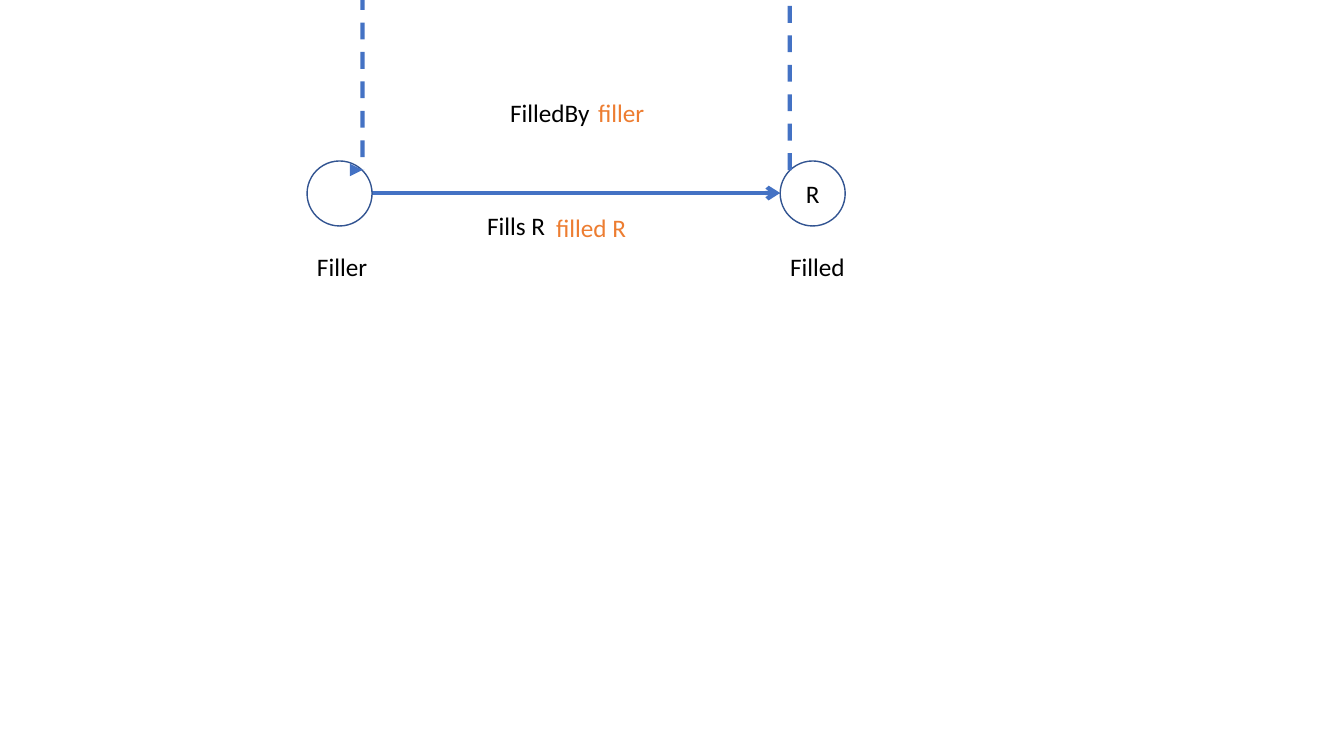
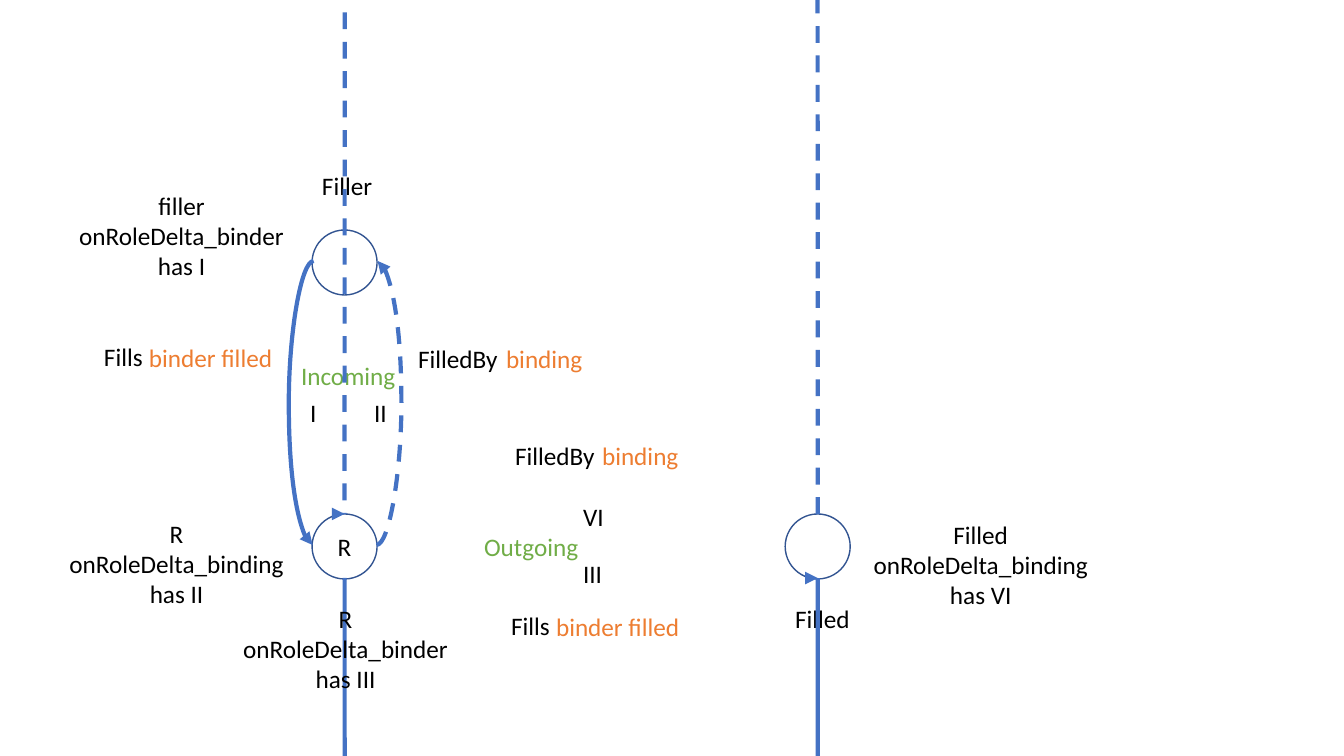
from dataclasses import dataclass

from lxml.etree import SubElement
from pptx import Presentation
from pptx.dml.color import RGBColor
from pptx.enum.dml import MSO_LINE
from pptx.enum.shapes import MSO_CONNECTOR, MSO_SHAPE
from pptx.enum.text import MSO_ANCHOR, MSO_AUTO_SIZE, PP_ALIGN
from pptx.oxml.ns import qn
from pptx.shapes.connector import Connector
from pptx.slide import Slide
from pptx.text.text import TextFrame
from pptx.util import Emu, Inches, Pt

# Shared look
COLOURS = {
    "text": "000000",
    "property": "ED7D31",
    "direction": "70AD47",
    "arrow": "4472C4",
    "outline": "325491",
}
FONT, TEXT_SIZE = "Calibri", Pt(18)
ROLE_SIZE = 65
LABEL_HEIGHT, NOTE_WIDTH, NOTE_HEIGHT = 40, 253, 102
FILLED_BY_WIDTH, PROPERTY_WIDTH, DIRECTION_WIDTH = 104, 146, 118


def px(length: float) -> Emu:
    return Emu(round(length * 914400 / 100.8))


def colour(name: str) -> RGBColor:
    return RGBColor.from_string(COLOURS[name])


@dataclass(frozen=True)
class Role:
    left: int
    top: int
    name: str = ""


@dataclass(frozen=True)
class Label:
    text: str
    left: int
    top: int
    width: int
    colour: str = "text"


@dataclass(frozen=True)
class Note:
    lines: tuple[str, ...]
    left: int
    top: int


@dataclass(frozen=True)
class Arc:
    """A curve whose ends lie `span` apart around a centre, `depth` EMU across."""
    centre_x: int
    centre_y: int
    span: int
    bulge: int
    depth: int
    rotation: int
    flip: str = "flipV"
    dashed: bool = False


# Text
def write_lines(frame: TextFrame, lines: tuple[str, ...], name: str,
                align: PP_ALIGN) -> None:
    for index, line in enumerate(lines):
        paragraph = frame.paragraphs[0] if index == 0 else frame.add_paragraph()
        paragraph.alignment = align
        run = paragraph.add_run()
        run.text = line
        run.font.name, run.font.size = FONT, TEXT_SIZE
        run.font.color.rgb = colour(name)


def add_text(slide: Slide, lines: tuple[str, ...], box: tuple[int, int, int, int],
             name: str, align: PP_ALIGN) -> None:
    frame = slide.shapes.add_textbox(*map(px, box)).text_frame
    frame.word_wrap = True
    frame.auto_size = MSO_AUTO_SIZE.SHAPE_TO_FIT_TEXT
    write_lines(frame, lines, name, align)


def add_label(slide: Slide, label: Label) -> None:
    box = (label.left, label.top, label.width, LABEL_HEIGHT)
    add_text(slide, (label.text,), box, label.colour, PP_ALIGN.LEFT)


def add_note(slide: Slide, note: Note) -> None:
    box = (note.left, note.top, NOTE_WIDTH, NOTE_HEIGHT)
    add_text(slide, note.lines, box, "text", PP_ALIGN.CENTER)


# Roles and arrows
def add_role(slide: Slide, role: Role) -> None:
    circle = slide.shapes.add_shape(MSO_SHAPE.OVAL, px(role.left), px(role.top),
                                    px(ROLE_SIZE), px(ROLE_SIZE))
    circle.shadow.inherit = False
    circle.fill.background()
    circle.line.color.rgb = colour("outline")
    circle.line.width = Pt(1)
    if role.name:
        circle.text_frame.vertical_anchor = MSO_ANCHOR.MIDDLE
        write_lines(circle.text_frame, (role.name,), "text", PP_ALIGN.CENTER)


def style_arrow(arrow: Connector, head: str, dashed: bool = False) -> None:
    arrow.line.color.rgb = colour("arrow")
    arrow.line.width = Pt(3)
    if dashed:
        arrow.line.dash_style = MSO_LINE.DASH
    properties = arrow._element.spPr
    SubElement(properties.find(qn("a:ln")), qn("a:tailEnd"), type=head)
    SubElement(properties, qn("a:effectLst"))


def add_straight_arrow(slide: Slide, start: int, end: int, y: int) -> None:
    arrow = slide.shapes.add_connector(MSO_CONNECTOR.STRAIGHT, px(start), px(y),
                                       px(end), px(y))
    style_arrow(arrow, "arrow")


def add_arc(slide: Slide, arc: Arc) -> None:
    left = px(arc.centre_x) - arc.depth // 2
    top = px(arc.centre_y - arc.span / 2)
    curve = slide.shapes.add_connector(MSO_CONNECTOR.CURVE, left, top,
                                       left + arc.depth, top + px(arc.span))
    properties = curve._element.spPr
    frame = properties.find(qn("a:xfrm"))
    frame.set("rot", str(arc.rotation * 60000))
    frame.set(arc.flip, "1")
    adjustments = properties.find(qn("a:prstGeom")).find(qn("a:avLst"))
    bend = round(px(arc.bulge) / arc.depth * 100000)
    SubElement(adjustments, qn("a:gd"), name="adj1", fmla=f"val {bend}")
    style_arrow(curve, "triangle", arc.dashed)


def add_diagram(slide: Slide, roles: list[Role], labels: list[Label],
                arcs: list[Arc], notes: list[Note]) -> None:
    for role in roles:
        add_role(slide, role)
    for label in labels:
        add_label(slide, label)
    for arc in arcs:
        add_arc(slide, arc)
    for note in notes:
        add_note(slide, note)


deck = Presentation()
deck.slide_width, deck.slide_height = Inches(13.33), Inches(7.5)
blank = deck.slide_layouts[6]

# Slide 1: one filler and the role it fills
single_fill = deck.slides.add_slide(blank)
add_straight_arrow(single_fill, 372, 780, 193)
add_diagram(
    single_fill,
    roles=[Role(307, 161), Role(780, 161, "R")],
    labels=[
        Label("Fills R", 477, 205, 88),
        Label("filled R", 546, 207, PROPERTY_WIDTH, "property"),
        Label("FilledBy", 500, 92, FILLED_BY_WIDTH),
        Label("filler", 588, 92, 105, "property"),
        Label("Filler", 307, 246, 75),
        Label("Filled", 780, 246, 80),
    ],
    arcs=[Arc(576, 170, 427, 34, 1, 270, dashed=True)],
    notes=[],
)

# Slide 2: incoming and outgoing fills of R
chain = deck.slides.add_slide(blank)
side_depth = px(1)
add_diagram(
    chain,
    roles=[Role(312, 514, "R"), Role(785, 514), Role(312, 230)],
    labels=[
        Label("Fills", 501, 605, 64),
        Label("binder filled", 546, 606, PROPERTY_WIDTH, "property"),
        Label("Filler", 312, 165, 75),
        Label("Filled", 785, 598, 86),
        Label("Outgoing", 474, 526, DIRECTION_WIDTH, "direction"),
        Label("Incoming", 291, 355, DIRECTION_WIDTH, "direction"),
        Label("Fills", 94, 336, 64),
        Label("binder filled", 139, 337, PROPERTY_WIDTH, "property"),
        Label("FilledBy", 408, 338, FILLED_BY_WIDTH),
        Label("binding", 496, 338, PROPERTY_WIDTH, "property"),
        Label("I", 300, 392, 34),
        Label("II", 364, 392, 34),
        Label("FilledBy", 505, 435, FILLED_BY_WIDTH),
        Label("binding", 592, 435, PROPERTY_WIDTH, "property"),
        Label("III", 573, 553, 50),
        Label("VI", 573, 496, 50),
    ],
    arcs=[
        Arc(377, 403, 284, 25, side_depth, 0, dashed=True),
        Arc(313, 403, 284, 25, side_depth, 180),
        Arc(581, 578, 473, 25, 1, 270, flip="flipH"),
        Arc(581, 514, 473, 25, 1, 270, dashed=True),
    ],
    notes=[
        Note(("filler", "onRoleDelta_binder", "has I"), 55, 185),
        Note(("R", "onRoleDelta_binding", "has II"), 50, 513),
        Note(("R", "onRoleDelta_binder", "has III"), 219, 598),
        Note(("Filled", "onRoleDelta_binding", "has VI"), 854, 514),
    ],
)

deck.save("out.pptx")
